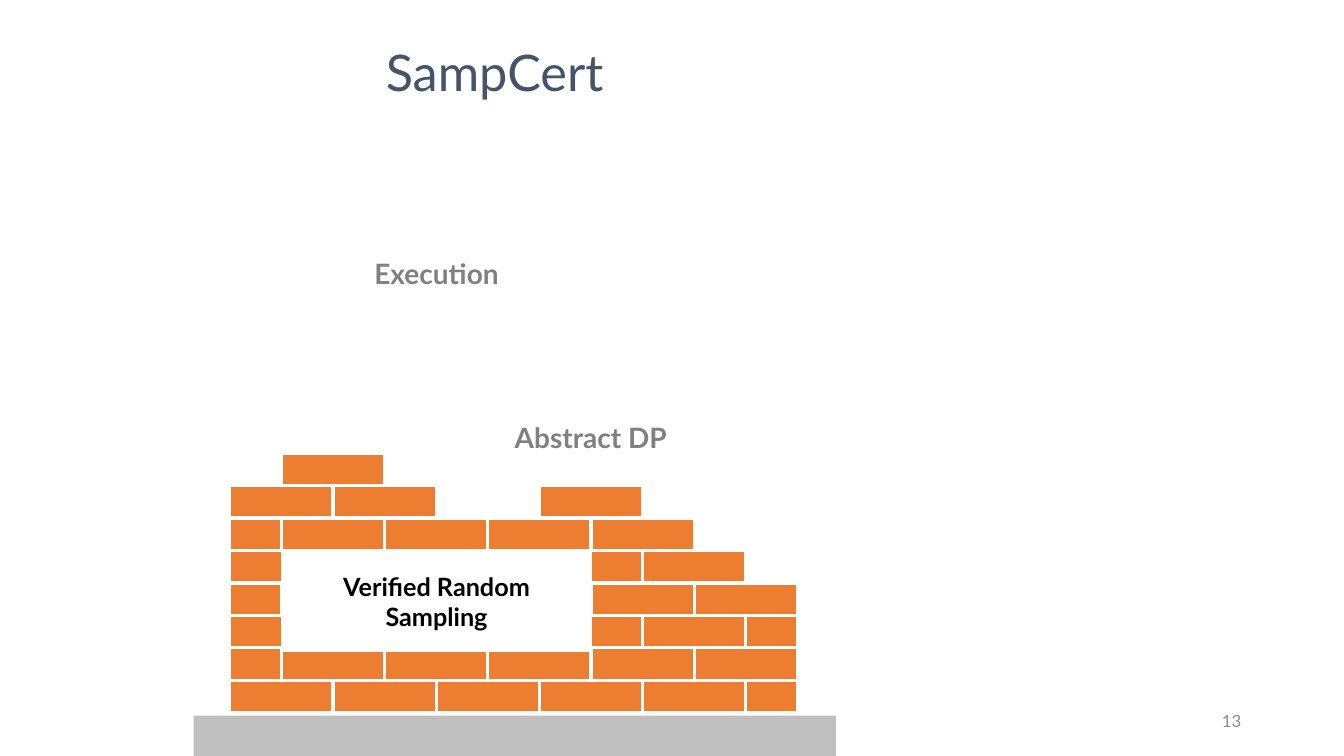
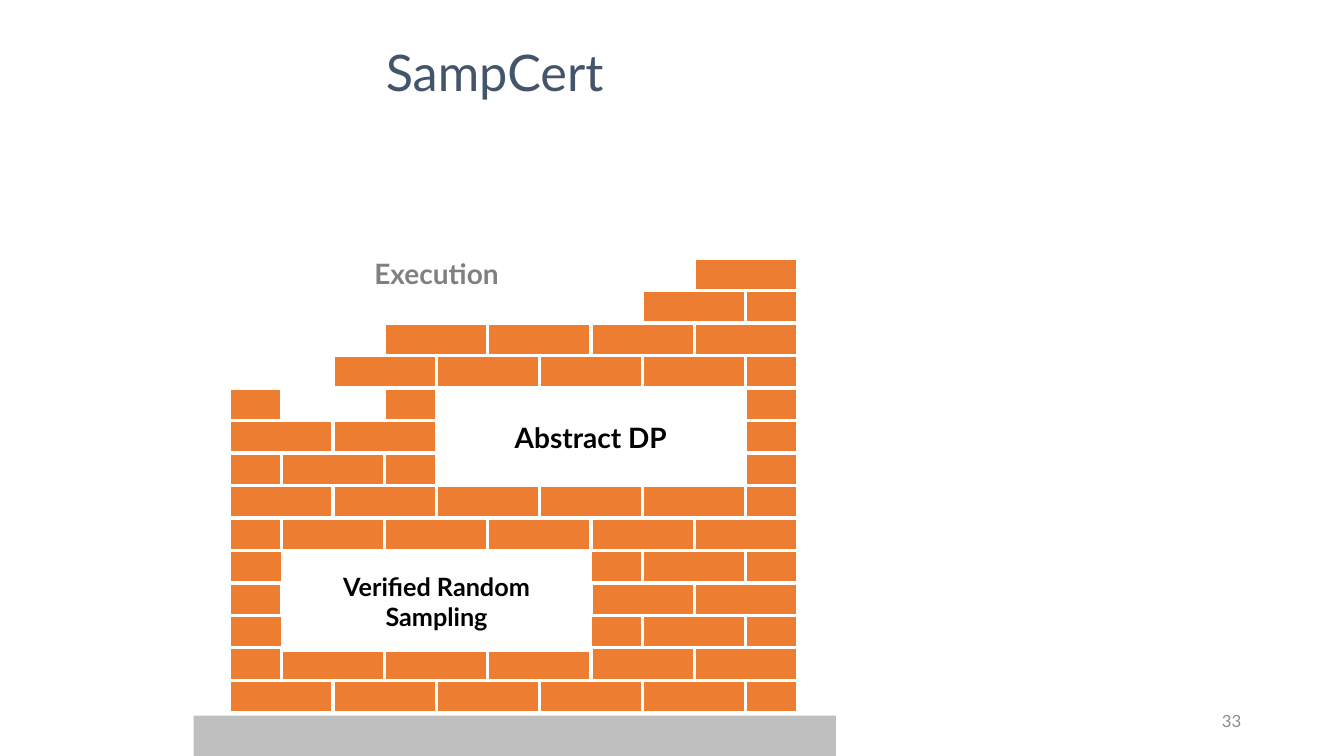
from dataclasses import dataclass

from pptx import Presentation
from pptx.dml.color import RGBColor
from pptx.enum.shapes import MSO_SHAPE as Shape
from pptx.enum.text import MSO_ANCHOR as Anchor, MSO_AUTO_SIZE as AutoSize, PP_ALIGN as Align
from pptx.util import Inches, Pt


@dataclass(frozen=True)
class Theme:
    font: str = "Lato"
    title: str = "44546A"
    brick: str = "ED7D31"
    mortar: str = "FFFFFF"
    ground: str = "BFBFBF"
    done: str = "000000"
    todo: str = "808080"
    number: str = "8C8C8C"
    title_size: int = 36
    label_size: int = 20
    long_label_size: int = 18
    number_size: int = 12
    joint: float = 2.25


THEME = Theme()

# Content: each wall lists its rows from the ground up, by the half-brick
# column where each brick starts
EVEN, ODD = (0, 2, 4, 6, 8, 10), (0, 1, 3, 5, 7, 9)
BASE = [EVEN, ODD, (0, 6, 8, 10), (0, 7, 9)]

SLIDES = [
    {
        "number": "13",
        "built": {"Verified Random Sampling"},
        "wall": BASE + [(0, 6, 8), (0, 1, 3, 5, 7), (0, 2, 6), (1,)],
    },
    {
        "number": "33",
        "built": {"Verified Random Sampling", "Abstract DP"},
        "wall": BASE + [(0, 6, 8, 10), ODD, EVEN, (0, 1, 3, 9), (0, 2, 10), (0, 3, 9),
                        (2, 4, 6, 8, 10), (3, 5, 7, 9), (8, 10), (9,)],
    },
]

TITLE = "SampCert "

# Text, left, top, size
LABELS = [
    ("Verified Random Sampling", 2.8, 5.48, THEME.long_label_size),
    ("Abstract DP", 4.33, 3.85, THEME.label_size),
    ("Execution", 2.8, 2.23, THEME.label_size),
]

# Wall grid, in inches
WALL_LEFT, FIRST_TOP = 2.28, 6.75
HALF, COURSE = 5.63 / 11, 4.19 / 13
COLUMNS = 11
LABEL_W, LABEL_H = 3.06, 0.97


def write(tf, text, size, color, bold=False, align=Align.CENTER, spacing=None):
    tf.word_wrap = True
    tf.auto_size = AutoSize.NONE
    tf.vertical_anchor = Anchor.MIDDLE
    p = tf.paragraphs[0]
    p.alignment = align
    if spacing:
        p.line_spacing = spacing
    r = p.add_run()
    r.text = text
    r.font.name, r.font.size, r.font.bold = THEME.font, Pt(size), bold
    r.font.color.rgb = RGBColor.from_string(color)


def add_rect(s, left, top, width, height, fill, line=None):
    sp = s.shapes.add_shape(Shape.RECTANGLE, Inches(left), Inches(top),
                            Inches(width), Inches(height))
    sp.shadow.inherit = False
    sp.fill.solid()
    sp.fill.fore_color.rgb = RGBColor.from_string(fill)
    if line:
        sp.line.color.rgb = RGBColor.from_string(line)
        sp.line.width = Pt(THEME.joint)
    else:
        sp.line.fill.background()
    return sp


def add_wall(s, wall):
    for row, starts in enumerate(wall):
        for col in starts:
            # Half bricks close the left end of odd rows and the right end of even rows
            halves = 1 if col == COLUMNS - 1 or (row % 2 and col == 0) else 2
            add_rect(s, WALL_LEFT + col * HALF, FIRST_TOP - row * COURSE,
                     halves * HALF, COURSE, THEME.brick, THEME.mortar)


def add_slide(prs, layout, content):
    s = prs.slides.add_slide(layout)
    write(s.shapes.title.text_frame, TITLE, THEME.title_size, THEME.title, spacing=0.9)

    # Ground and wall
    add_rect(s, 1.92, 7.1, 6.37, 0.4, THEME.ground)
    add_wall(s, content["wall"])

    # Parts of the project set into the wall
    for text, left, top, size in LABELS:
        sp = add_rect(s, left, top, LABEL_W, LABEL_H, THEME.mortar, THEME.mortar)
        color = THEME.done if text in content["built"] else THEME.todo
        write(sp.text_frame, text, size, color, bold=True)

    # Slide number
    box = s.shapes.add_textbox(Inches(9.41), Inches(6.95), Inches(3), Inches(0.4))
    write(box.text_frame, content["number"], THEME.number_size, THEME.number,
          align=Align.RIGHT)


def main():
    prs = Presentation()
    prs.slide_width, prs.slide_height = Inches(13.33), Inches(7.5)

    # Title position shared through the Title Only layout
    layout = prs.slide_layouts[5]
    title = layout.placeholders[0]
    title.left, title.top = Inches(0.55), Inches(0.42)
    title.width, title.height = Inches(8.84), Inches(0.65)

    for content in SLIDES:
        add_slide(prs, layout, content)
    prs.save("out.pptx")


if __name__ == "__main__":
    main()
